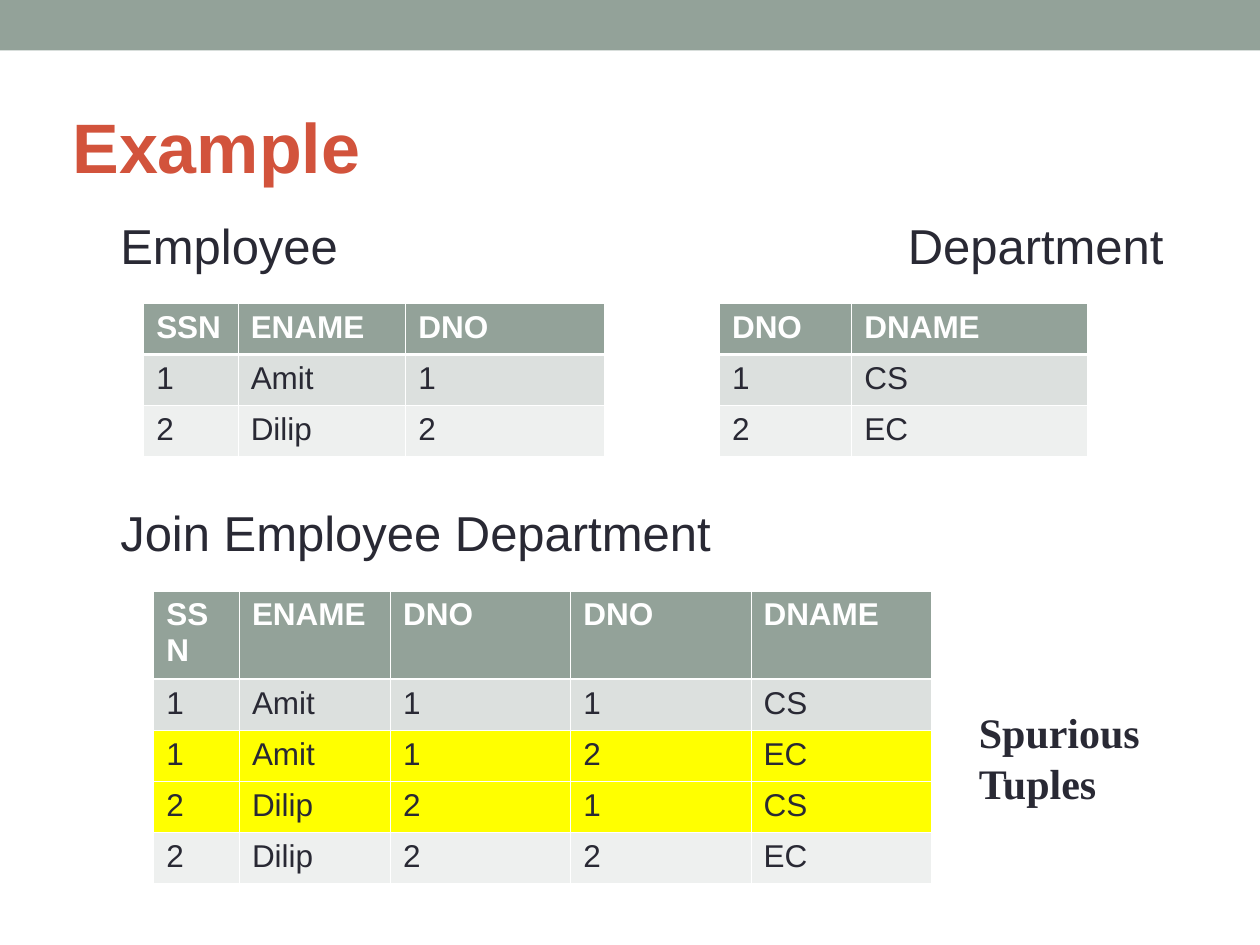
from dataclasses import dataclass

from lxml import etree
from pptx import Presentation
from pptx.dml.color import RGBColor
from pptx.enum.shapes import MSO_SHAPE
from pptx.enum.text import MSO_ANCHOR
from pptx.oxml.ns import qn
from pptx.util import Inches, Pt

RECTANGLE = MSO_SHAPE.RECTANGLE
TOP, MIDDLE = MSO_ANCHOR.TOP, MSO_ANCHOR.MIDDLE


@dataclass(frozen=True)
class Theme:
    sage: str = "93A299"
    band_dark: str = "DCE0DE"
    band_light: str = "EEF0EF"
    highlight: str = "FFFF00"
    accent: str = "D2533C"
    ink: str = "292934"
    white: str = "FFFFFF"
    sans: str = "Arial"
    serif: str = "Times New Roman"
    title_size: int = 40
    heading_size: int = 28
    note_size: int = 24
    cell_size: int = 18
    thin_line: float = 0.45
    thick_line: float = 1.47


theme = Theme()

# The page is a grid of 100 columns by 75 rows
UNIT = Inches(0.1)
COLUMNS, ROWS = 100, 75

deck = Presentation()
deck.slide_width, deck.slide_height = COLUMNS * UNIT, ROWS * UNIT
page = deck.slides.add_slide(deck.slide_layouts[6])


def add_span(para, text, size, color, bold=False, font=theme.sans):
    span = para.add_run()
    span.text = text
    span.font.name, span.font.size, span.font.bold = font, Pt(size), bold
    span.font.color.rgb = RGBColor.from_string(color)


def add_box(place, insets, anchor=TOP):
    box = page.shapes.add_textbox(*(int(length * UNIT) for length in place))
    frame = box.text_frame
    frame.word_wrap = True
    frame.vertical_anchor = anchor
    frame.margin_left = frame.margin_right = int(insets[0] * UNIT)
    frame.margin_top, frame.margin_bottom = (int(inset * UNIT) for inset in insets[1:])
    return frame


# Top band
band = page.shapes.add_shape(RECTANGLE, 0, 0, COLUMNS * UNIT, 4 * UNIT)
band.shadow.inherit = False
band.fill.solid()
band.fill.fore_color.rgb = RGBColor.from_string(theme.sage)
band.line.fill.background()

# Title
title = add_box((5, 5.8, 90, 10.8), (0.75, 0.7, 0), MIDDLE)
add_span(title.paragraphs[0], "Example", theme.title_size, theme.accent, True)

# Table headings, with a tab stop between the upper two
headings = add_box((8.8, 16.2, 87, 42.4), (0.75, 0.9, 0))
para = headings.paragraphs[0]
tabs = etree.SubElement(para._p.get_or_add_pPr(), qn("a:tabLst"))
etree.SubElement(tabs, qn("a:tab"), pos=str(int(62.5 * UNIT)), algn="l")
add_span(para, "Employee\tDepartment", theme.heading_size, theme.ink)
para = headings.add_paragraph()
para.space_before = Pt(130.5)
add_span(para, "Join Employee Department", theme.heading_size, theme.ink)

# Tables: left, top, column widths, row heights, records, highlighted rows
short_rows = (4.05, 4.05, 4.05)
tables = [
    (11.4, 24.1, (7.5, 13.3, 15.8), short_rows,
     ["SSN ENAME DNO", "1 Amit 1", "2 Dilip 2"], ()),
    (57.1, 24.1, (10.5, 18.7), short_rows,
     ["DNO DNAME", "1 CS", "2 EC"], ()),
    (12.2, 46.9, (6.8, 12, 14.3, 14.3, 14.3), (7, 4.05, 4.05, 4.05, 4.05),
     ["SSN ENAME DNO DNO DNAME", "1 Amit 1 1 CS", "1 Amit 1 2 EC",
      "2 Dilip 2 1 CS", "2 Dilip 2 2 EC"], (2, 3)),
]
for left, top, widths, heights, records, marked in tables:
    table = page.shapes.add_table(
        len(heights), len(widths), int(left * UNIT), int(top * UNIT),
        int(sum(widths) * UNIT), int(sum(heights) * UNIT)).table
    for column, width in zip(table.columns, widths):
        column.width = int(width * UNIT)
    for index, record in enumerate(records):
        table.rows[index].height = int(heights[index] * UNIT)
        header = index == 0
        if header:
            fill = theme.sage
        elif index in marked:
            fill = theme.highlight
        else:
            fill = theme.band_dark if index % 2 else theme.band_light
        for cell, value in zip(table.rows[index].cells, record.split()):
            add_span(cell.text_frame.paragraphs[0], value, theme.cell_size,
                     theme.white if header else theme.ink, header)
            # White rules, thicker below the header
            for side in ("L", "R", "T", "B"):
                thick = (index, side) in ((0, "B"), (1, "T"))
                weight = theme.thick_line if thick else theme.thin_line
                line = etree.SubElement(cell._tc.get_or_add_tcPr(),
                                        qn(f"a:ln{side}"), w=str(int(Pt(weight))))
                solid = etree.SubElement(line, qn("a:solidFill"))
                etree.SubElement(solid, qn("a:srgbClr"), val=theme.white)
            cell.fill.solid()
            cell.fill.fore_color.rgb = RGBColor.from_string(fill)

# Note beside the highlighted rows
note = add_box((76.7, 55.2, 19.2, 9), (1, 0.9, 0.5))
add_span(note.paragraphs[0], "Spurious Tuples", theme.note_size, theme.ink,
         True, theme.serif)

deck.save("out.pptx")
